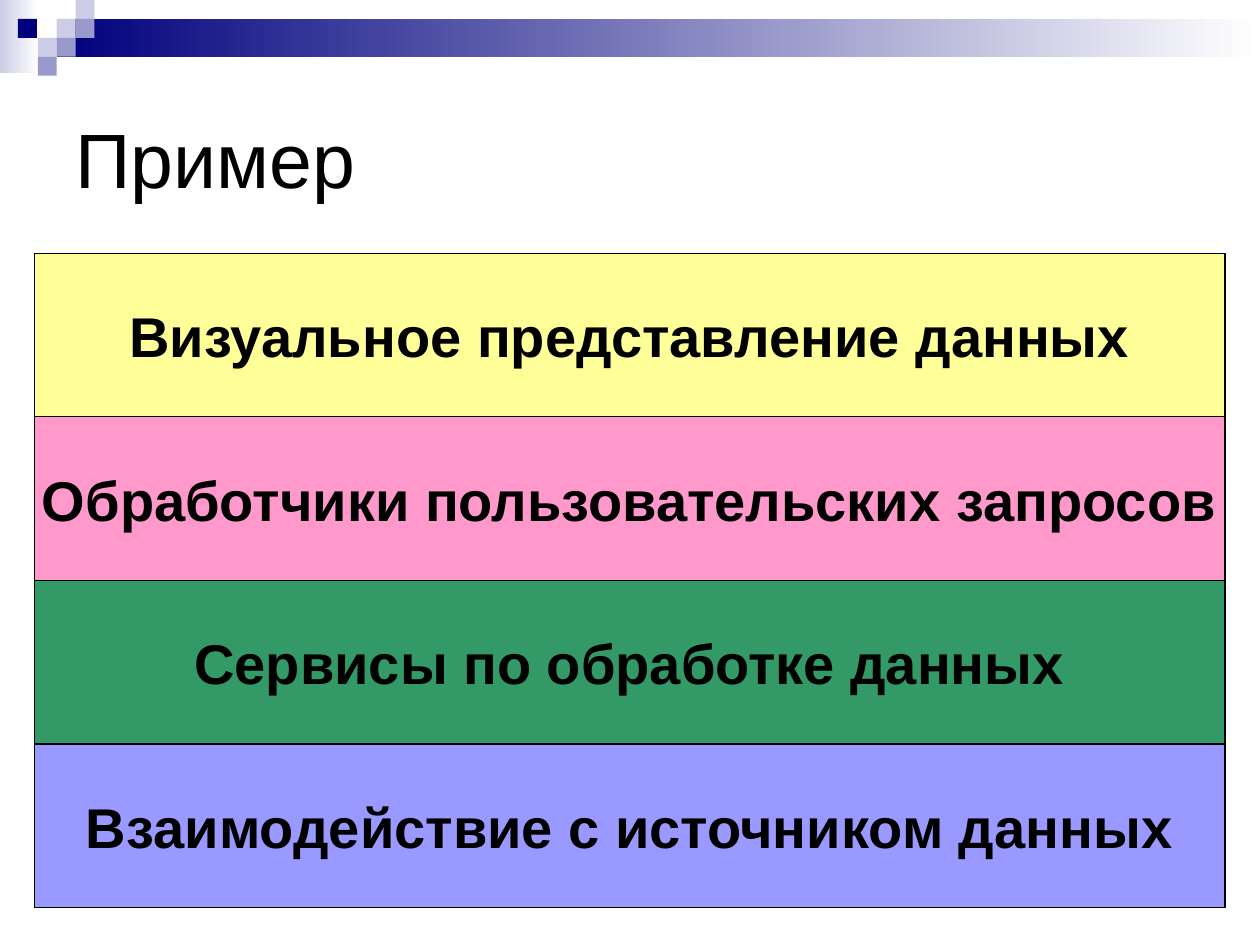
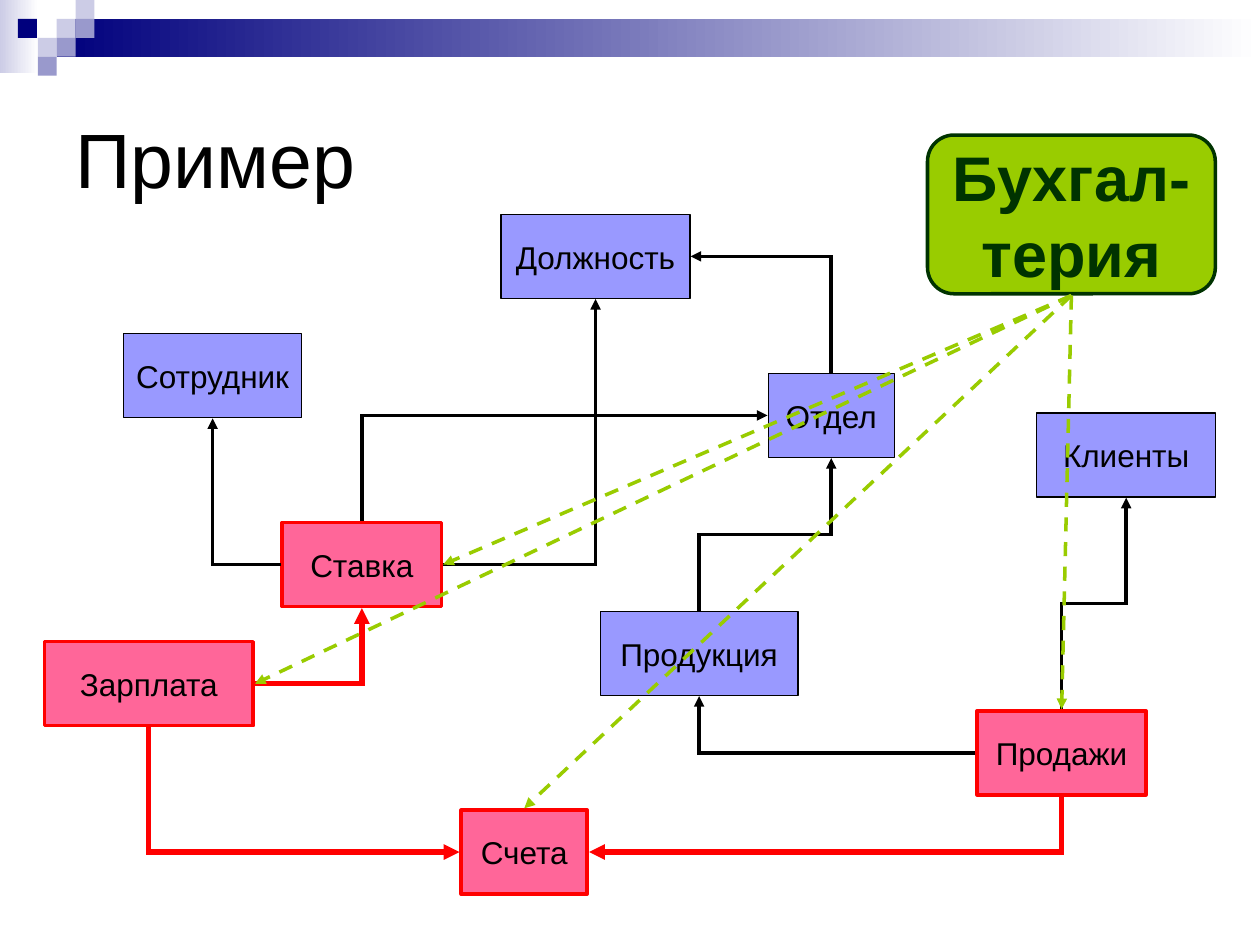
from math import cos, radians, sin

from lxml import etree
from pptx import Presentation
from pptx.dml.color import RGBColor
from pptx.enum.dml import MSO_LINE
from pptx.enum.shapes import MSO_CONNECTOR, MSO_SHAPE
from pptx.enum.text import MSO_ANCHOR, PP_ALIGN
from pptx.oxml.ns import qn
from pptx.util import Pt

RECTANGLE = MSO_SHAPE.RECTANGLE
PROCESS = MSO_SHAPE.FLOWCHART_PROCESS
ROUNDED = MSO_SHAPE.FLOWCHART_ALTERNATE_PROCESS
STRAIGHT, ELBOW = MSO_CONNECTOR.STRAIGHT, MSO_CONNECTOR.ELBOW
DASH = MSO_LINE.DASH
LEFT, CENTER = PP_ALIGN.LEFT, PP_ALIGN.CENTER
MIDDLE = MSO_ANCHOR.MIDDLE

FONT = "Arial"
COLORS = {
    "black": "000000", "white": "FFFFFF", "navy": "00007D",
    "pale": "CCCCE6", "lavender": "9999CC", "blue": "9999FF",
    "green": "339966", "rose": "FF99CC", "yellow": "FFFF99",
    "pink": "FF6699", "red": "FF0000", "lime": "99CC00", "forest": "003300",
}
SQUARE = 10.8
SQUARES = [  # column, row, color
    (3, 1, "pale"), (4, 0, "pale"), (4, 1, "lavender"), (2, 2, "pale"),
    (0.95, 1, "navy"), (3, 2, "lavender"), (2, 3, "lavender"),
]

LAYERS = [
    ("Визуальное представление данных", "yellow"),
    ("Обработчики пользовательских запросов", "rose"),
    ("Сервисы по обработке данных", "green"),
    ("Взаимодействие с источником данных", "blue"),
]
LAYER_HEIGHT = 93.5

ENTITY_HEIGHT = 48
ENTITIES = {  # left, top, width, belongs to accounting
    "Сотрудник": (70.5, 190.7, 102, False),
    "Должность": (286.3, 122.5, 108, False),
    "Ставка": (161.3, 298.6, 91, True),
    "Зарплата": (25.4, 366.7, 119.3, True),
    "Отдел": (439, 213.4, 72, False),
    "Продукция": (343, 349.4, 113, False),
    "Клиенты": (592.3, 236, 102.5, False),
    "Продажи": (558.4, 406.2, 96.5, True),
    "Счета": (263.6, 462.9, 72, True),
}
RELATIONS = [  # from, side, to, side, color, width
    ("Ставка", "left", "Сотрудник", "bottom", "black", 2),
    ("Ставка", "right", "Должность", "bottom", "black", 2),
    ("Зарплата", "right", "Ставка", "bottom", "red", 3),
    ("Отдел", "top", "Должность", "right", "black", 2),
    ("Ставка", "top", "Отдел", "left", "black", 2),
    ("Продукция", "top", "Отдел", "bottom", "black", 2),
    ("Продажи", "left", "Продукция", "bottom", "black", 2),
    ("Продажи", "bottom", "Счета", "right", "red", 3),
    ("Зарплата", "bottom", "Счета", "left", "red", 3),
    ("Продажи", "top", "Клиенты", "bottom", "black", 2),
]
ACCOUNTING_LINKS = [
    ("Зарплата", "right"), ("Ставка", "right"),
    ("Продажи", "top"), ("Счета", "top"),
]


def rgb(name):
    return RGBColor.from_string(COLORS[name])


def write_text(shape, text, size=18, bold=False, color="black",
               align=CENTER, wrap=False):
    """Fill the shape with text, one paragraph per line."""
    frame = shape.text_frame
    frame.word_wrap = wrap
    frame.vertical_anchor = MIDDLE
    frame.text = text
    for paragraph in frame.paragraphs:
        paragraph.alignment = align
        font = paragraph.runs[0].font
        font.name, font.size, font.bold = FONT, Pt(size), bold
        font.color.rgb = rgb(color)


def side_point(shape, side):
    """Middle of a side in points, moved out by half the outline."""
    gap = shape.line.width.pt / 2
    left, top = shape.left.pt, shape.top.pt
    width, height = shape.width.pt, shape.height.pt
    return {
        "left": (left - gap, top + height / 2),
        "right": (left + width + gap, top + height / 2),
        "top": (left + width / 2, top - gap),
        "bottom": (left + width / 2, top + height + gap),
    }[side]


class Deck:
    def __init__(self):
        self.presentation = Presentation()
        self.presentation.slide_width = Pt(720)
        self.presentation.slide_height = Pt(540)
        self.slide = None

    def add_slide(self, title):
        layout = self.presentation.slide_layouts[6]
        self.slide = self.presentation.slides.add_slide(layout)
        fill = self.slide.background.fill
        fill.solid()
        fill.fore_color.rgb = rgb("white")
        self.gradient_band(0, 0, 22, 42, "pale")
        self.gradient_band(3 * SQUARE, SQUARE, 720 - 3 * SQUARE,
                           2 * SQUARE, "navy")
        for column, row, color in SQUARES:
            self.box(column * SQUARE, row * SQUARE, SQUARE, SQUARE, color)
        text_box = self.slide.shapes.add_textbox(
            Pt(36), Pt(36), Pt(648), Pt(108))
        write_text(text_box, title, size=44, align=LEFT, wrap=True)

    def box(self, left, top, width, height, color, kind=RECTANGLE,
            outline=None, line_width=0.75):
        shape = self.slide.shapes.add_shape(
            kind, Pt(left), Pt(top), Pt(width), Pt(height))
        shape.shadow.inherit = False
        shape.fill.solid()
        shape.fill.fore_color.rgb = rgb(color)
        if outline:
            shape.line.color.rgb = rgb(outline)
            shape.line.width = Pt(line_width)
        else:
            shape.line.fill.background()
        return shape

    def gradient_band(self, left, top, width, height, color):
        fill = self.box(left, top, width, height, color).fill
        fill.gradient()
        fill.gradient_angle = 0
        stops = zip(fill.gradient_stops, (color, "white"), (0, 1))
        for stop, name, position in stops:
            stop.color.rgb = rgb(name)
            stop.position = position

    def arrow(self, begin, end, color, width, kind=STRAIGHT, turn=0,
              dash=None):
        """Draw an arrow whose frame is turned clockwise by whole quarters."""
        dx, dy = end[0] - begin[0], end[1] - begin[1]
        x, y = (begin[0] + end[0]) / 2, (begin[1] + end[1]) / 2
        cosine, sine = cos(radians(turn)), sin(radians(turn))
        half_x = (dx * cosine + dy * sine) / 2
        half_y = (dy * cosine - dx * sine) / 2
        connector = self.slide.shapes.add_connector(
            kind, Pt(x - half_x), Pt(y - half_y),
            Pt(x + half_x), Pt(y + half_y))
        line = connector.line
        line.color.rgb = rgb(color)
        line.width = Pt(width)
        if dash:
            line.dash_style = dash
        properties = connector._element.spPr
        if turn:
            properties.find(qn("a:xfrm")).set("rot", str(turn * 60000))
        outline = properties.find(qn("a:ln"))
        etree.SubElement(outline, qn("a:miter"), lim="800000")
        etree.SubElement(outline, qn("a:tailEnd"), type="triangle")
        etree.SubElement(properties, qn("a:effectLst"))
        return connector

    def elbow(self, source, source_side, target, target_side, color, width):
        begin = side_point(source, source_side)
        end = side_point(target, target_side)
        vertical = ("top", "bottom")
        backward = end[0] < begin[0]
        if source_side in vertical:
            turn = 90 if backward else 270
        else:
            turn = 180 if backward else 0
        connector = self.arrow(begin, end, color, width, ELBOW, turn)
        if (source_side in vertical) != (target_side in vertical):
            geometry = connector._element.spPr.find(qn("a:prstGeom"))
            geometry.set("prst", "bentConnector2")


def add_layers_slide(deck):
    deck.add_slide("Пример")
    for row, (text, color) in enumerate(LAYERS):
        layer = deck.box(19.6, 144.7 + row * LAYER_HEIGHT, 680.4,
                         LAYER_HEIGHT, color, outline="black")
        write_text(layer, text, size=32, bold=True)


def add_entities_slide(deck):
    deck.add_slide("Пример")
    entities = {}
    for name, (left, top, width, accounted) in ENTITIES.items():
        color, outline, line_width = (
            ("pink", "red", 2) if accounted else ("blue", "black", 0.75))
        entities[name] = deck.box(left, top, width, ENTITY_HEIGHT, color,
                                  PROCESS, outline, line_width)
        write_text(entities[name], name)
    for source, source_side, target, target_side, color, width in RELATIONS:
        deck.elbow(entities[source], source_side,
                   entities[target], target_side, color, width)
    accounting = deck.box(530, 77.2, 164.5, 90.7, "lime", ROUNDED,
                          "forest", 2)
    write_text(accounting, "Бухгал-\nтерия", size=36, bold=True,
               color="forest")
    for name, side in ACCOUNTING_LINKS:
        deck.arrow(side_point(accounting, "bottom"),
                   side_point(entities[name], side), "lime", 2, dash=DASH)


def main():
    deck = Deck()
    add_layers_slide(deck)
    add_entities_slide(deck)
    deck.presentation.save("out.pptx")


if __name__ == "__main__":
    main()
